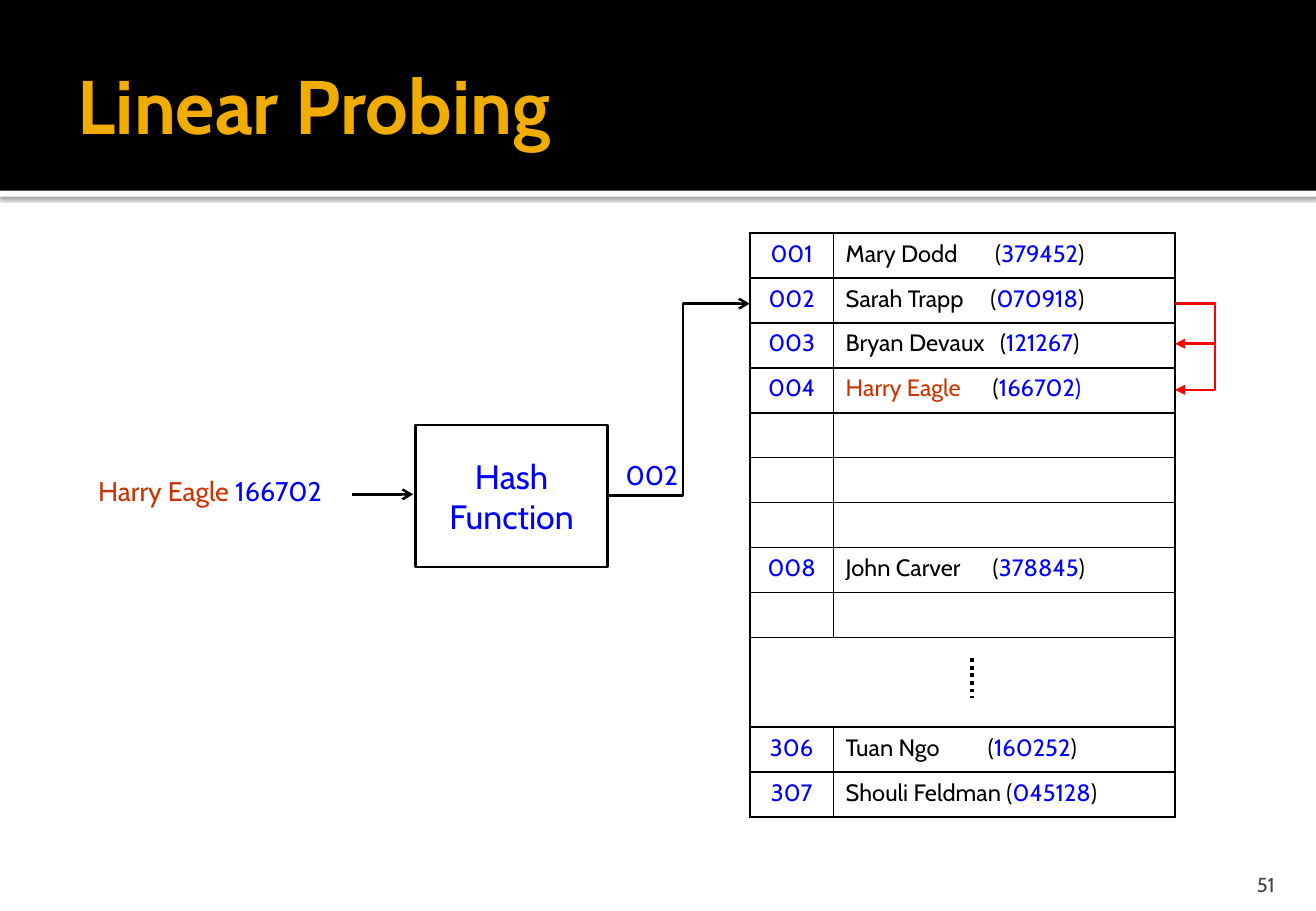
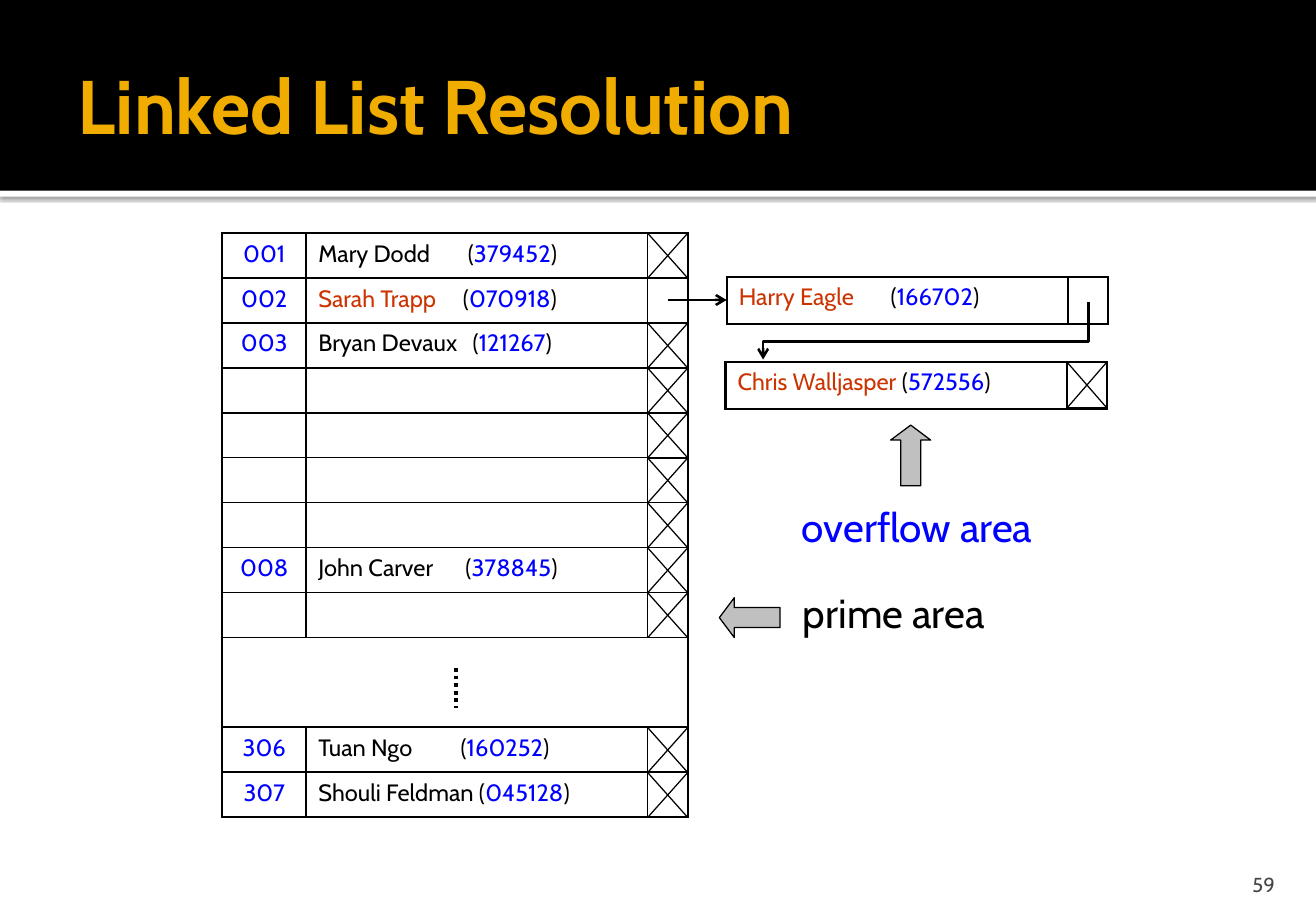
"""Build two slides on resolving hash collisions: linear probing and linked lists."""
from lxml.etree import SubElement
from pptx import Presentation
from pptx.dml.color import RGBColor
from pptx.enum.dml import MSO_LINE
from pptx.enum.shapes import MSO_CONNECTOR, MSO_SHAPE
from pptx.enum.text import MSO_ANCHOR, MSO_AUTO_SIZE, PP_ALIGN
from pptx.oxml.ns import qn
from pptx.util import Inches, Pt

BLACK = RGBColor(0x00, 0x00, 0x00)
WHITE = RGBColor(0xFF, 0xFF, 0xFF)
GOLD = RGBColor(0xF0, 0xAD, 0x00)
BLUE = RGBColor(0x00, 0x00, 0xFF)
RUST = RGBColor(0xCC, 0x33, 0x00)
RED = RGBColor(0xFF, 0x00, 0x00)
SILVER = RGBColor(0xC0, 0xC0, 0xC0)
GREY = RGBColor(0x45, 0x45, 0x45)
FONT = "Cabin"

SLIDE_WIDTH, SLIDE_HEIGHT = 10.83, 7.5
BAND_HEIGHT = 1.57
TABLE_TOP, ROW_HEIGHT, ROW_COUNT = 1.92, 0.37, 13
SLOT_WIDTH, RECORD_WIDTH, LINK_WIDTH = 0.69, 2.81, 0.33
ELLIPSIS_ROWS = (9, 10)

# row: (slot, name, tab position or None for a plain space, number)
RECORDS = {
    0: ("001", "Mary Dodd", 1.23, "379452"),
    1: ("002", "Sarah Trapp", 1.19, "070918"),
    2: ("003", "Bryan Devaux", 1.27, "121267"),
    7: ("008", "John Carver", 1.21, "378845"),
    11: ("306", "Tuan Ngo", 1.17, "160252"),
    12: ("307", "Shouli Feldman", None, "045128"),
}
PROBED_RECORD = {3: ("004", "Harry Eagle", 1.21, "166702)")}
OVERFLOW = [
    (5.98, 2.28, ("Harry Eagle", 1.25, "166702")),
    (5.97, 2.98, ("Chris Walljasper", None, "572556")),
]
AREA_LABELS = [
    ("overflow area", BLUE, 6.5, 4.08, 2.25),
    ("prime area", BLACK, 6.51, 4.79, 1.84),
]
AREA_ARROWS = [
    (MSO_SHAPE.LEFT_ARROW, 5.92, 4.92, 0.5, 0.33),
    (MSO_SHAPE.UP_ARROW, 7.33, 3.5, 0.33, 0.5),
]


def write(paragraph, runs, size=14, align=PP_ALIGN.LEFT, bold=False, tab=None):
    """Fill a paragraph with (text, colour) runs."""
    paragraph.alignment = align
    if tab:
        tabs = SubElement(paragraph._p.get_or_add_pPr(), qn("a:tabLst"))
        SubElement(tabs, qn("a:tab"), pos=str(Inches(tab)), algn="l")
    for text, colour in runs:
        run = paragraph.add_run()
        run.text = text
        run.font.name, run.font.size, run.font.bold = FONT, Pt(size), bold
        run.font.color.rgb = colour
    if not runs:
        SubElement(paragraph._p, qn("a:endParaRPr"), sz=str(size * 100))


def add_label(slide, runs, left, top, width, height, **text_format):
    """Add a wrapped one-paragraph text box."""
    frame = slide.shapes.add_textbox(*map(Inches, (left, top, width, height))).text_frame
    frame.word_wrap = True
    write(frame.paragraphs[0], runs, **text_format)
    return frame


def add_box(slide, kind, left, top, width, height, fill=None, line_width=None):
    """Add a preset shape with an optional fill and black outline."""
    shape = slide.shapes.add_shape(kind, *map(Inches, (left, top, width, height)))
    shape.shadow.inherit = False
    if fill is None:
        shape.fill.background()
    else:
        shape.fill.solid()
        shape.fill.fore_color.rgb = fill
    if line_width is None:
        shape.line.fill.background()
    else:
        shape.line.color.rgb = BLACK
        shape.line.width = Pt(line_width)
    return shape


def add_path(slide, points, colour=BLACK, width=1.5, head=None, dash=None):
    """Draw a straight connector, or an open outline through more points."""
    points = [(Inches(x), Inches(y)) for x, y in points]
    if len(points) == 2:
        shape = slide.shapes.add_connector(MSO_CONNECTOR.STRAIGHT, *points[0], *points[1])
    else:
        builder = slide.shapes.build_freeform(*points[0], scale=1.0)
        builder.add_line_segments(points[1:], close=False)
        shape = builder.convert_to_shape()
        shape.fill.background()
    shape.line.color.rgb = colour
    shape.line.width = Pt(width)
    if dash:
        shape.line.dash_style = dash
    properties = shape.element.spPr
    if head:
        SubElement(properties.find(qn("a:ln")), qn("a:tailEnd"), type=head)
    SubElement(properties, qn("a:effectLst"))


def set_borders(cell, widths):
    """Set left, right, top and bottom borders in points; None hides one."""
    properties = cell._tc.get_or_add_tcPr()
    for position, (side, width) in enumerate(zip("LRTB", widths)):
        line = properties.makeelement(qn(f"a:ln{side}"), {"w": str(Pt(width or 0))})
        if width is None:
            SubElement(line, qn("a:noFill"))
        else:
            fill = SubElement(line, qn("a:solidFill"))
            SubElement(fill, qn("a:srgbClr"), val=str(BLACK))
        properties.insert(position, line)


def add_grid(slide, left, top, column_widths, row_height, rows, open_rows=()):
    """Add a ruled table; no rules are drawn inside the open rows."""
    last_row, last_column = len(rows) - 1, len(column_widths) - 1
    table = slide.shapes.add_table(
        len(rows), len(column_widths), Inches(left), Inches(top),
        Inches(sum(column_widths)), Inches(row_height * len(rows))).table
    table.first_row = table.horz_banding = False
    for column, width in zip(table.columns, column_widths):
        column.width = Inches(width)
    for r, row in enumerate(rows):
        table.rows[r].height = Inches(row_height)
        is_open = r in open_rows
        inner = None if is_open else 1
        for c, content in enumerate(row):
            cell = table.cell(r, c)
            cell.fill.background()
            write(cell.text_frame.paragraphs[0], **content)
            set_borders(cell, [
                1.5 if c == 0 else inner,
                1.5 if c == last_column else inner,
                1.5 if r == 0 else None if is_open and r - 1 in open_rows else 1,
                1.5 if r == last_row else None if is_open and r + 1 in open_rows else 1,
            ])


def record_cell(name, tab, number, highlighted):
    """Return the text of a record: name, then number in parentheses."""
    runs = [(name, RUST if name in highlighted else BLACK),
            ("\t(" if tab else " (", BLACK), (number, BLUE)]
    if not number.endswith(")"):
        runs.append((")", BLACK))
    return {"runs": runs, "tab": tab}


def add_hash_table(slide, left, records, highlighted, linked=False):
    """Add the table of slots, with a link column if the slots are linked."""
    widths = [SLOT_WIDTH, RECORD_WIDTH] + [LINK_WIDTH] * linked
    rows = []
    for r in range(ROW_COUNT):
        row = [{"runs": []} for _ in widths]
        if r in records:
            slot, *record = records[r]
            row[0] = {"runs": [(slot, BLUE)], "align": PP_ALIGN.CENTER}
            row[1] = record_cell(*record, highlighted)
        rows.append(row)
    add_grid(slide, left, TABLE_TOP, widths, ROW_HEIGHT, rows, ELLIPSIS_ROWS)


def add_cross(slide, left, top, height):
    """Mark a link cell as empty with a crossed box."""
    right, bottom = left + LINK_WIDTH, top + height
    add_box(slide, MSO_SHAPE.RECTANGLE, left, top, LINK_WIDTH, height, line_width=0.75)
    add_path(slide, [(left, bottom), (right, top)], width=0.75)
    add_path(slide, [(left, top), (right, bottom)], width=0.75)


def add_bands(slide, layout):
    """Draw the title bands once and move them to the layout."""
    for placeholder in list(layout.placeholders)[1:]:
        layout.shapes.element.remove(placeholder.element)
    strip = add_box(slide, MSO_SHAPE.RECTANGLE, 0, BAND_HEIGHT, SLIDE_WIDTH, 0.05, fill=WHITE)
    shadow = SubElement(strip.element.spPr.find(qn("a:effectLst")), qn("a:outerShdw"),
                        blurRad=str(Pt(2.5)), dist=str(Pt(0.8)), dir="5400000")
    colour = SubElement(shadow, qn("a:srgbClr"), val=str(BLACK))
    SubElement(colour, qn("a:alpha"), val="60000")
    band = add_box(slide, MSO_SHAPE.RECTANGLE, 0, 0, SLIDE_WIDTH, BAND_HEIGHT, fill=BLACK)
    for position, shape in enumerate((strip, band), start=2):
        layout.shapes.element.insert(position, shape.element)


def add_titled_slide(presentation, title, number):
    """Add a slide with its title and page number."""
    layout = presentation.slide_layouts[5]
    slide = presentation.slides.add_slide(layout)
    if len(presentation.slides) == 1:
        add_bands(slide, layout)
    shape = slide.shapes.title
    shape.left, shape.top, shape.width, shape.height = map(Inches, (0.54, 0.17, 9.75, 1.37))
    frame = shape.text_frame
    frame.auto_size = MSO_AUTO_SIZE.NONE
    frame.vertical_anchor = MSO_ANCHOR.MIDDLE
    frame.margin_right = Inches(0.05)
    write(frame.paragraphs[0], [(title, GOLD)], size=45, bold=True)
    footer = add_label(slide, [(number, GREY)], 9.72, 7.08, 0.87, 0.3,
                       size=12, align=PP_ALIGN.RIGHT)
    footer.vertical_anchor = MSO_ANCHOR.BOTTOM
    footer.margin_bottom = 0
    return slide


def build_linear_probing(presentation):
    """Show a key hashed to a full slot and probed to the next free one."""
    slide = add_titled_slide(presentation, "Linear Probing", "51")
    add_hash_table(slide, 6.17, RECORDS | PROBED_RECORD, {"Harry Eagle"})
    add_path(slide, [(8, 5.42), (8, 5.75)], width=2.25, dash=MSO_LINE.ROUND_DOT)
    add_label(slide, [("Harry Eagle ", RUST), ("166702", BLUE)], 0.71, 3.86, 2.33, 0.37, size=16)
    frame = add_box(slide, MSO_SHAPE.RECTANGLE, 3.42, 3.5, 1.58, 1.17, line_width=1.5).text_frame
    frame.vertical_anchor = MSO_ANCHOR.MIDDLE
    for paragraph, word in ((frame.paragraphs[0], "Hash"), (frame.add_paragraph(), "Function")):
        write(paragraph, [(word, BLUE)], size=20, align=PP_ALIGN.CENTER)
    add_path(slide, [(2.9, 4.07), (3.4, 4.07)], head="arrow")
    add_path(slide, [(5, 4.08), (5.62, 4.08), (5.62, 2.5), (6.17, 2.5)], head="arrow")
    add_label(slide, [("002", BLUE)], 5.05, 3.73, 0.67, 0.37, size=16)
    for probe in (2.83, 3.21):
        add_path(slide, [(9.67, 2.5), (10, 2.5), (10, probe), (9.67, probe)],
                 colour=RED, head="triangle")


def build_linked_list(presentation):
    """Show colliding keys chained into an overflow area."""
    slide = add_titled_slide(presentation, "Linked List Resolution", "59")
    highlighted = {"Sarah Trapp", "Harry Eagle", "Chris Walljasper"}
    add_hash_table(slide, 1.83, RECORDS, highlighted, linked=True)
    add_path(slide, [(3.75, 5.5), (3.75, 5.83)], width=2.25, dash=MSO_LINE.ROUND_DOT)
    for r in range(ROW_COUNT):
        if r not in (1, *ELLIPSIS_ROWS):
            add_cross(slide, 5.33, TABLE_TOP + r * ROW_HEIGHT, ROW_HEIGHT)
    for left, top, record in OVERFLOW:
        row = [record_cell(*record, highlighted), {"runs": []}]
        add_grid(slide, left, top, [RECORD_WIDTH, LINK_WIDTH], 0.39, [row])
    add_cross(slide, 8.78, 2.98, 0.38)
    add_path(slide, [(5.5, 2.47), (5.98, 2.47)], head="arrow")
    add_path(slide, [(8.96, 2.49), (8.96, 2.81), (6.28, 2.81), (6.28, 2.96)], head="arrow")
    for text, colour, left, top, width in AREA_LABELS:
        add_label(slide, [(text, colour)], left, top, width, 0.5, size=24)
    for kind, *place in AREA_ARROWS:
        arrow = add_box(slide, kind, *place, fill=SILVER, line_width=0.75)
        arrow.adjustments[0], arrow.adjustments[1] = 0.5, 0.375


def main():
    """Build and save the presentation."""
    presentation = Presentation()
    presentation.slide_width, presentation.slide_height = Inches(SLIDE_WIDTH), Inches(SLIDE_HEIGHT)
    build_linear_probing(presentation)
    build_linked_list(presentation)
    presentation.save("out.pptx")


if __name__ == "__main__":
    main()
